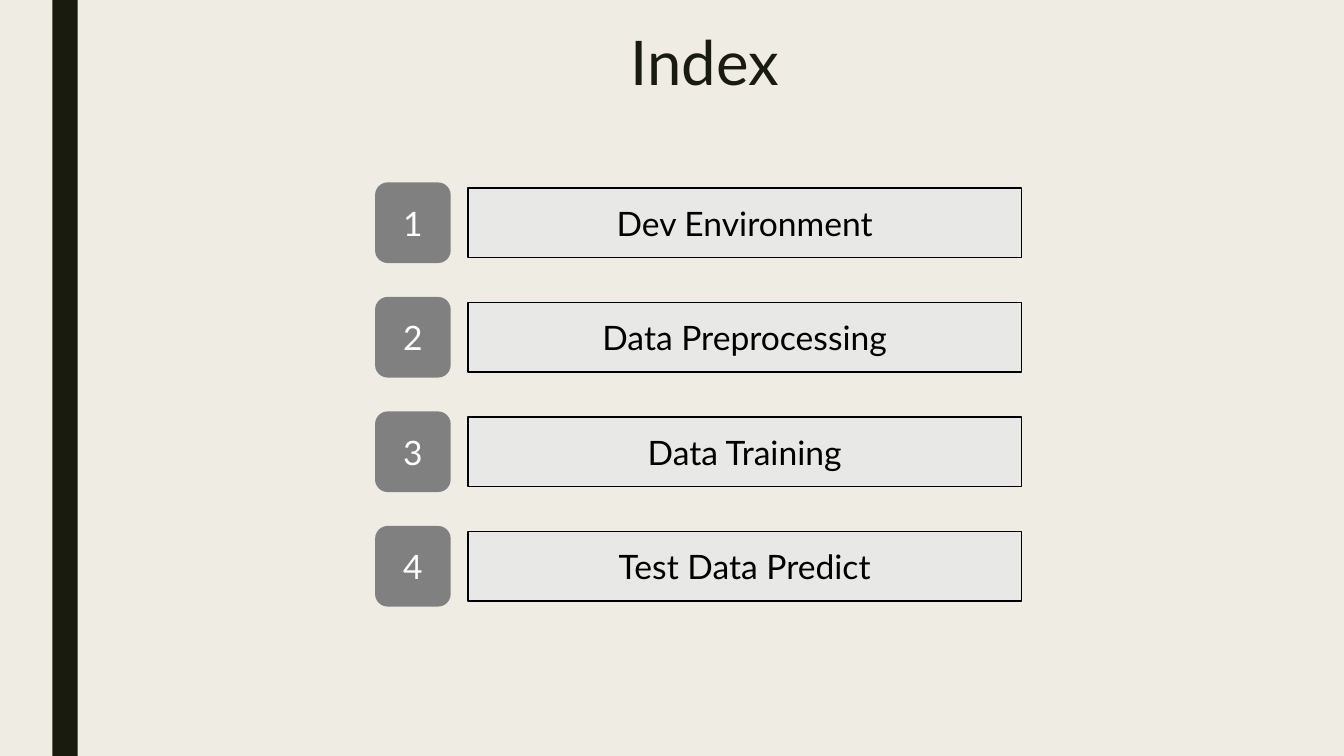
import pptx
import pptx.util
import pptx.dml.color
import pptx.enum.shapes
import pptx.enum.text

Inches = pptx.util.Inches
RGBColor = pptx.dml.color.RGBColor
Shape = pptx.enum.shapes.MSO_SHAPE
Anchor = pptx.enum.text.MSO_ANCHOR

TITLE = "Index"
TOPICS = ["Dev Environment", "Data Preprocessing", "Data Training", "Test Data Predict"]

CREAM = RGBColor(0xEF, 0xED, 0xE3)
DARK = RGBColor(0x19, 0x1B, 0x0E)
GRAY = RGBColor(0x80, 0x80, 0x80)
PALE = RGBColor(0xE8, 0xE8, 0xE7)
BLACK = RGBColor(0, 0, 0)
WHITE = RGBColor(0xFF, 0xFF, 0xFF)

SLIDE_W, SLIDE_H = 13.33, 7.5
FIRST_CENTER, ROW_PITCH = 2.21, 1.136
BADGE = {"left": 3.72, "width": 0.75, "height": 0.8}
BAR = {"left": 4.64, "width": 5.49, "height": 0.69}


def write(s, text, size, color, anchor):
    tf = s.text_frame
    tf.text = text
    tf.word_wrap = True
    tf.vertical_anchor = anchor
    p = tf.paragraphs[0]
    p.alignment = pptx.enum.text.PP_ALIGN.CENTER
    r = p.runs[0]
    for name, value in {"name": "Lato", "size": pptx.util.Pt(size), "bold": False}.items():
        setattr(r.font, name, value)
    r.font.color.rgb = color
    return p


def place(s, left, top, width, height):
    box = {"left": left, "top": top, "width": width, "height": height}
    for name, value in box.items():
        setattr(s, name, Inches(value))


def add_box(slide, kind, left, top, width, height, fill, line=None):
    sp = slide.shapes.add_shape(kind, *map(Inches, (left, top, width, height)))
    sp.shadow.inherit = False
    sp.fill.solid()
    sp.fill.fore_color.rgb = fill
    if line is None:
        sp.line.fill.background()
    else:
        sp.line.color.rgb = line
        sp.line.width = pptx.util.Pt(1)
    return sp


def main():
    prs = pptx.Presentation()
    prs.slide_width, prs.slide_height = Inches(SLIDE_W), Inches(SLIDE_H)
    slide = prs.slides.add_slide(prs.slide_layouts[5])
    slide.background.fill.solid()
    slide.background.fill.fore_color.rgb = CREAM

    add_box(slide, Shape.RECTANGLE, 0.52, 0, 0.25, SLIDE_H, DARK)
    title = slide.shapes.title
    place(title, 1.21, 0.28, 11.56, 1.07)
    write(title, TITLE, 44, DARK, Anchor.TOP).line_spacing = 0.89

    for i, topic in enumerate(TOPICS):
        center = FIRST_CENTER + i * ROW_PITCH
        for kind, box, fill, line, text, color in (
            (Shape.ROUNDED_RECTANGLE, BADGE, GRAY, None, str(i + 1), WHITE),
            (Shape.RECTANGLE, BAR, PALE, BLACK, topic, BLACK),
        ):
            top = center - box["height"] / 2
            sp = add_box(slide, kind, top=top, fill=fill, line=line, **box)
            write(sp, text, 24, color, Anchor.MIDDLE)

    prs.save("out.pptx")


if __name__ == "__main__":
    main()
